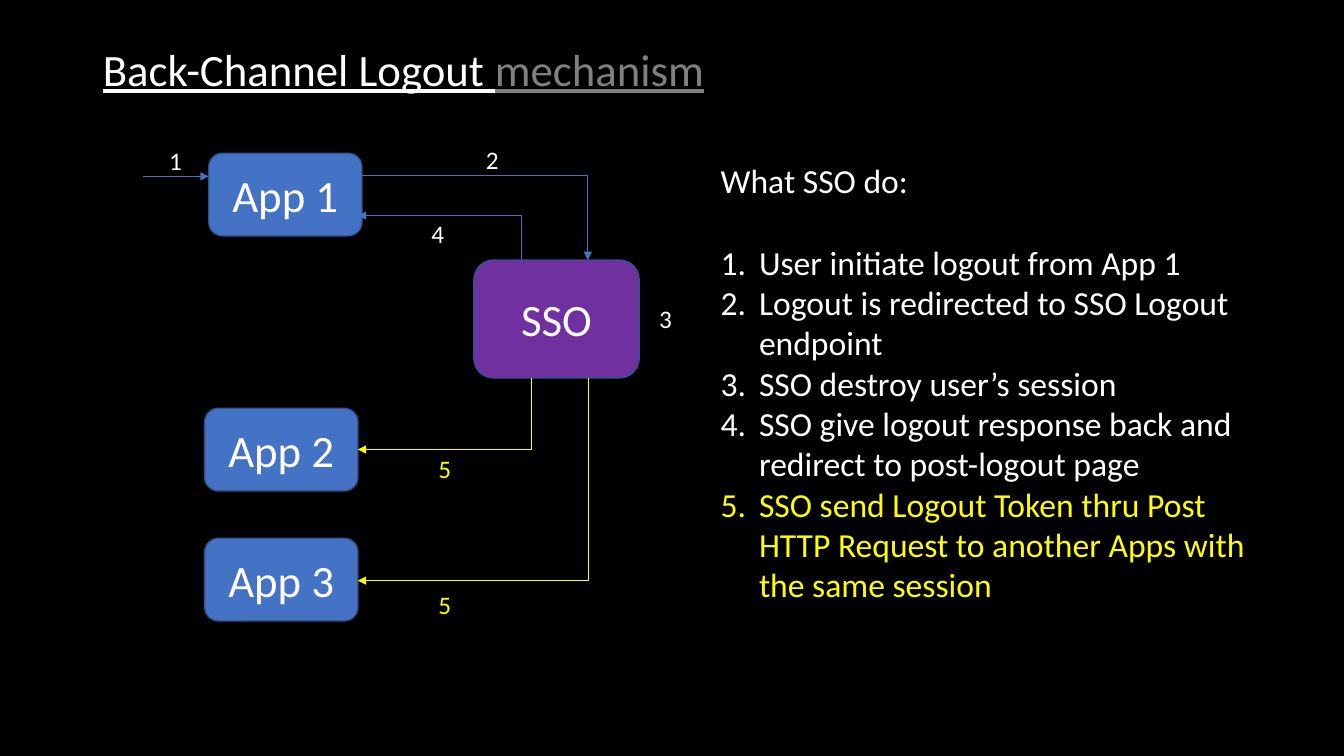
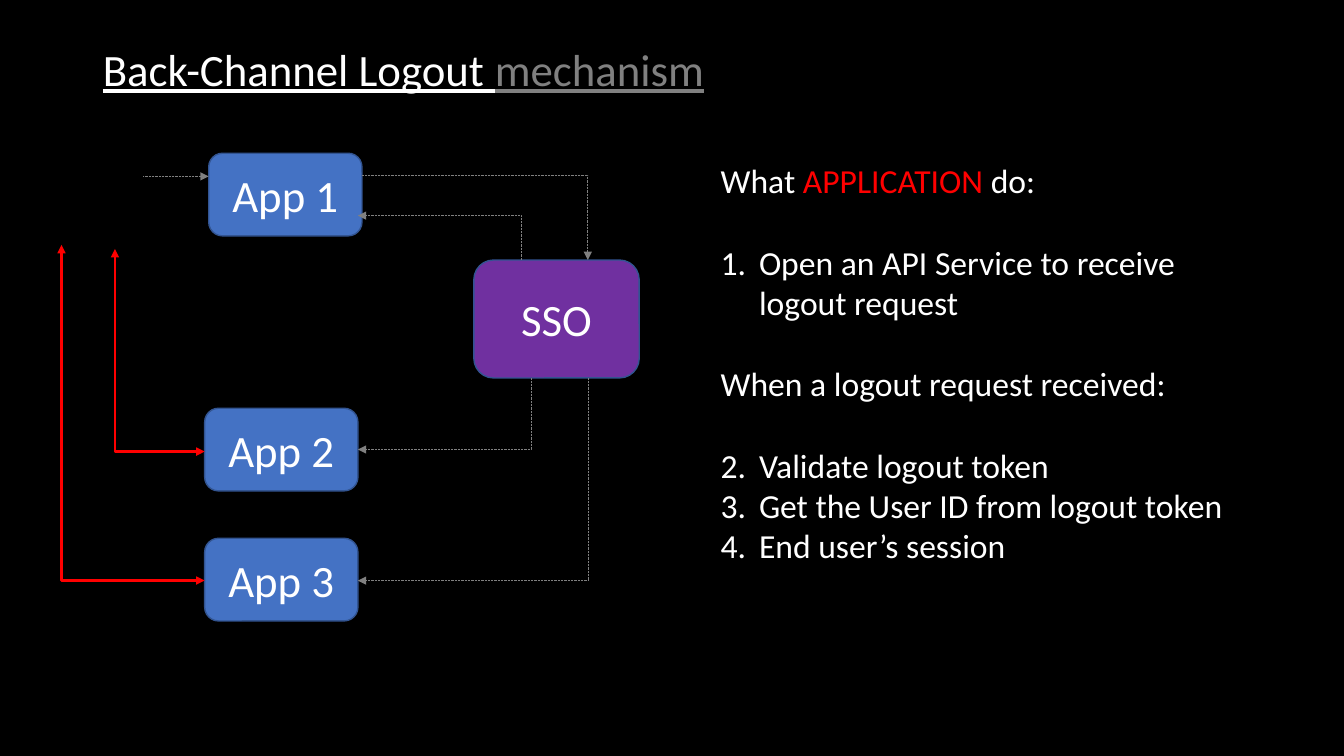
from lxml import etree
from pptx import Presentation
from pptx.dml.color import RGBColor
from pptx.enum.dml import MSO_LINE
from pptx.enum.shapes import MSO_CONNECTOR, MSO_SHAPE
from pptx.enum.text import MSO_ANCHOR, MSO_AUTO_SIZE, PP_ALIGN
from pptx.oxml.ns import qn
from pptx.util import Inches, Pt

BLACK = RGBColor(0x00, 0x00, 0x00)
WHITE = RGBColor(0xFF, 0xFF, 0xFF)
GRAY = RGBColor(0x80, 0x80, 0x80)
BLUE = RGBColor(0x44, 0x72, 0xC4)
OUTLINE = RGBColor(0x32, 0x54, 0x91)
PURPLE = RGBColor(0x70, 0x30, 0xA0)
YELLOW = RGBColor(0xFF, 0xFF, 0x00)
RED = RGBColor(0xFF, 0x00, 0x00)

FONT = "Calibri"
HEADING_SIZE = 32
BODY_SIZE = 24
LABEL_SIZE = 18
BLANK_LINE = Pt(29.3)
NUMBER_INDENT = Inches(0.38)

ROUNDED = MSO_SHAPE.ROUNDED_RECTANGLE
STRAIGHT = MSO_CONNECTOR.STRAIGHT
ELBOW = MSO_CONNECTOR.ELBOW
DOTTED = MSO_LINE.ROUND_DOT
MIDDLE = MSO_ANCHOR.MIDDLE
NO_FIT = MSO_AUTO_SIZE.NONE
LEFT = PP_ALIGN.LEFT
CENTER = PP_ALIGN.CENTER

VERTICAL_FIRST = 0
HORIZONTAL_FIRST = 100000

NODES = [
    ("App 1", (2.07, 1.52, 1.52, 0.82), BLUE),
    ("SSO", (4.7, 2.58, 1.64, 1.17), PURPLE),
    ("App 2", (2.03, 4.05, 1.52, 0.82), BLUE),
    ("App 3", (2.03, 5.34, 1.52, 0.82), BLUE),
]
FLOWS = [
    ((1.42, 1.75), (2.07, 1.75), None, BLUE),
    ((3.59, 1.74), (5.83, 2.58), HORIZONTAL_FIRST, BLUE),
    ((5.17, 2.58), (3.55, 2.14), VERTICAL_FIRST, BLUE),
    ((5.27, 3.75), (3.55, 4.46), VERTICAL_FIRST, YELLOW),
    ((5.84, 3.75), (3.55, 5.76), VERTICAL_FIRST, YELLOW),
]
STEP_LABELS = [
    ("1", 1.58, 1.39, WHITE),
    ("2", 4.72, 1.38, WHITE),
    ("3", 6.44, 2.96, WHITE),
    ("4", 4.18, 2.12, WHITE),
    ("5", 4.25, 4.45, YELLOW),
    ("5", 4.25, 5.8, YELLOW),
]
SESSION_LINKS = [
    ((2.03, 4.48), (1.14, 2.47)),
    ((2.03, 5.76), (0.61, 2.43)),
]


class Deck:
    def __init__(self):
        self.presentation = Presentation()
        self.presentation.slide_width = Inches(13.33)
        self.presentation.slide_height = Inches(7.5)
        backdrop = self.presentation.slide_master.background.fill
        backdrop.solid()
        backdrop.fore_color.rgb = BLACK
        self.slide = None

    def add_slide(self):
        layout = self.presentation.slide_layouts.get_by_name("Title Only")
        self.slide = self.presentation.slides.add_slide(layout)

    def style_run(self, run, size, color):
        run.font.name = FONT
        run.font.size = Pt(size)
        run.font.color.rgb = color

    def add_runs(self, paragraph, parts, size):
        for text, color in parts:
            run = paragraph.add_run()
            run.text = text
            self.style_run(run, size, color)

    def title(self, parts):
        heading = self.slide.shapes.title
        heading.left, heading.top = Inches(0.92), Inches(0.4)
        heading.width, heading.height = Inches(11.5), Inches(0.63)
        frame = heading.text_frame
        frame.auto_size = NO_FIT
        frame.vertical_anchor = MIDDLE
        paragraph = frame.paragraphs[0]
        paragraph.alignment = LEFT
        paragraph.line_spacing = 0.9
        self.add_runs(paragraph, parts, HEADING_SIZE)
        for run in paragraph.runs:
            run.font.underline = True

    def node(self, name, box, fill):
        node = self.slide.shapes.add_shape(ROUNDED, *map(Inches, box))
        node.shadow.inherit = False
        node.fill.solid()
        node.fill.fore_color.rgb = fill
        node.line.color.rgb = OUTLINE
        node.line.width = Pt(1)
        frame = node.text_frame
        frame.text = name
        frame.vertical_anchor = MIDDLE
        frame.paragraphs[0].alignment = CENTER
        self.style_run(frame.paragraphs[0].runs[0], HEADING_SIZE, WHITE)

    def arrow(self, start, end, turn, color, width=0.5, dotted=False, both=False):
        kind = STRAIGHT if turn is None else ELBOW
        arrow = self.slide.shapes.add_connector(kind, *map(Inches, start + end))
        arrow.line.color.rgb = color
        arrow.line.width = Pt(width)
        if dotted:
            arrow.line.dash_style = DOTTED
        properties = arrow._element.spPr
        if turn is not None:
            guides = properties.find(qn("a:prstGeom")).find(qn("a:avLst"))
            etree.SubElement(guides, qn("a:gd"), name="adj1", fmla=f"val {turn}")
        outline = properties.find(qn("a:ln"))
        for tip in ("a:headEnd", "a:tailEnd") if both else ("a:tailEnd",):
            etree.SubElement(outline, qn(tip), type="triangle")
        etree.SubElement(properties, qn("a:effectLst"))

    def text_frame(self, *box):
        frame = self.slide.shapes.add_textbox(*map(Inches, box)).text_frame
        frame.word_wrap = True
        return frame

    def label(self, text, left, top, color):
        frame = self.text_frame(left, top, 0.33, 0.4)
        frame.text = text
        self.style_run(frame.paragraphs[0].runs[0], LABEL_SIZE, color)

    def number(self, paragraph, first):
        properties = paragraph._p.get_or_add_pPr()
        properties.set("marL", str(NUMBER_INDENT))
        properties.set("indent", str(-NUMBER_INDENT))
        numbering = etree.SubElement(
            properties, qn("a:buAutoNum"), type="arabicPeriod")
        if first > 1:
            numbering.set("startAt", str(first))

    def explanation(self, height, sections):
        frame = self.text_frame(7.05, 1.54, 5.46, height)
        paragraph = frame.paragraphs[0]
        first = 1
        for index, (lead, steps) in enumerate(sections):
            if index:
                paragraph = frame.add_paragraph()
                paragraph.space_before = BLANK_LINE
            self.add_runs(paragraph, lead, BODY_SIZE)
            for position, step in enumerate(steps):
                paragraph = frame.add_paragraph()
                if position == 0:
                    paragraph.space_before = BLANK_LINE
                self.number(paragraph, first)
                self.add_runs(paragraph, [step], BODY_SIZE)
            first += len(steps)

    def mechanism(self, dotted):
        self.add_slide()
        self.title([("Back-Channel Logout ", WHITE), ("mechanism", GRAY)])
        for node in NODES:
            self.node(*node)
        for start, end, turn, color in FLOWS:
            self.arrow(start, end, turn, GRAY if dotted else color, dotted=dotted)


def main():
    deck = Deck()

    deck.mechanism(dotted=False)
    for step_label in STEP_LABELS:
        deck.label(*step_label)
    deck.explanation(4.54, [
        ([("What SSO do:", WHITE)], [
            ("User initiate logout from App 1", WHITE),
            ("Logout is redirected to SSO Logout endpoint", WHITE),
            ("SSO destroy user’s session", WHITE),
            ("SSO give logout response back and redirect to post-logout page", WHITE),
            ("SSO send Logout Token thru Post HTTP Request to another Apps "
             "with the same session", YELLOW),
        ]),
    ])

    deck.mechanism(dotted=True)
    for app, session in SESSION_LINKS:
        deck.arrow(app, session, HORIZONTAL_FIRST, RED, width=2, both=True)
    deck.explanation(4.14, [
        ([("What ", WHITE), ("APPLICATION", RED), (" do:", WHITE)], [
            ("Open an API Service to receive logout request", WHITE),
        ]),
        ([("When a logout request received:", WHITE)], [
            ("Validate logout token", WHITE),
            ("Get the User ID from logout token", WHITE),
            ("End user’s session", WHITE),
        ]),
    ])

    deck.presentation.save("out.pptx")


if __name__ == "__main__":
    main()
